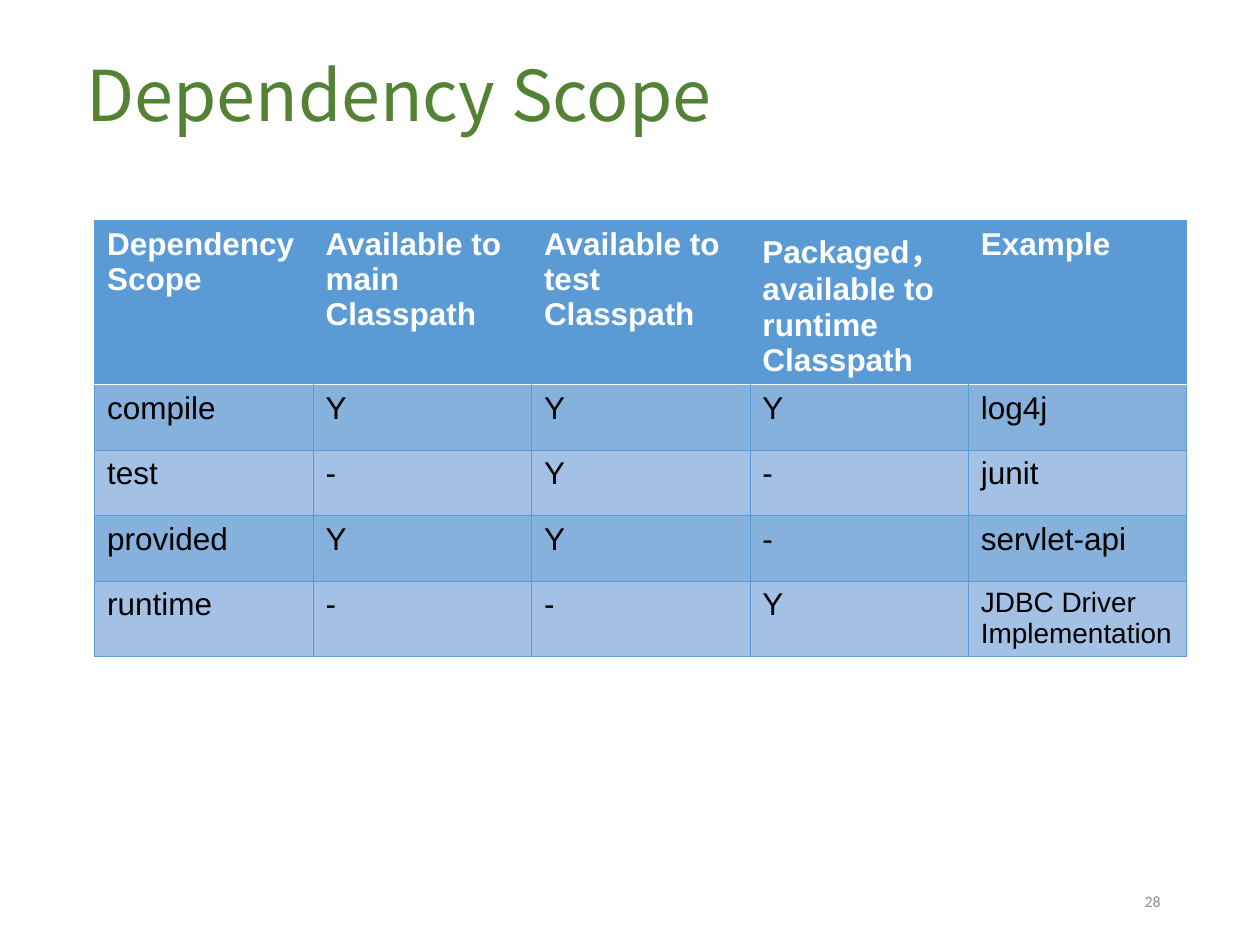
from lxml import etree
from pptx import Presentation
from pptx.dml.color import RGBColor
from pptx.enum import text as t
from pptx.oxml.ns import qn
from pptx.util import Inches, Pt

TITLE = "Dependency Scope"
PAGE = "28"
ROWS = [
    ["Dependency Scope", "Available to main Classpath", "Available to test Classpath",
     "Packaged，available to runtime Classpath", "Example"],
    ["compile", "Y", "Y", "Y", "log4j"],
    ["test", "-", "Y", "-", "junit"],
    ["provided", "Y", "Y", "-", "servlet-api"],
    ["runtime", "-", "-", "Y", "JDBC Driver Implementation"],
]
HEIGHTS = [0.95, 0.52, 0.52, 0.52, 0.6]
WIDTH = 8.67
BLUE, WHITE, BLACK = "5B9BD5", "FFFFFF", "000000"
BANDS = ["A3C0E5", "86B1DD"]


def color(code):
    return RGBColor.from_string(code)


def style(para, name, size, code, bold=False):
    font = para.font
    font.name, font.size, font.bold = name, Pt(size), bold
    font.color.rgb = color(code)


def add_text(slide, box, words, name, size, code, align):
    shape = slide.shapes.add_textbox(*map(Inches, box))
    frame = shape.text_frame
    frame.word_wrap = True
    frame.vertical_anchor = t.MSO_ANCHOR.MIDDLE
    para = frame.paragraphs[0]
    para.text, para.alignment = words, align
    style(para, name, size, code)
    return frame


def border(cell, side, code, width):
    """Draw one side (L, R, T or B) of a cell; no code means no line."""
    line = etree.Element(qn("a:ln" + side), w=str(Pt(width)))
    if code:
        fill = etree.SubElement(line, qn("a:solidFill"))
        etree.SubElement(fill, qn("a:srgbClr"), val=code)
    else:
        etree.SubElement(line, qn("a:noFill"))
    return line


def add_borders(cell, row, col, last):
    sides = {side: (BLUE, 0.5) for side in "LRTB"}
    if row == 0:
        sides["B"] = (WHITE, 1)
        if col > 0:
            sides["L"] = (None, 0)
        if col < last:
            sides["R"] = (None, 0)
    elif row == 1:
        sides["T"] = (WHITE, 1)
    props = cell._tc.get_or_add_tcPr()
    for spot, (side, (code, width)) in enumerate(sides.items()):
        props.insert(spot, border(cell, side, code, width))


def add_grid(slide):
    count = len(ROWS[0])
    table = slide.shapes.add_table(
        len(ROWS), count, Inches(0.75), Inches(1.75),
        Inches(WIDTH), Inches(sum(HEIGHTS))).table
    table.first_row = table.horz_banding = False
    for col in table.columns:
        col.width = Inches(WIDTH / count)
    for r, words in enumerate(ROWS):
        table.rows[r].height = Inches(HEIGHTS[r])
        head = r == 0
        for c, word in enumerate(words):
            cell = table.cell(r, c)
            cell.text = word
            size = 16 if word.startswith("JDBC") else 18
            style(cell.text_frame.paragraphs[0], "Arial", size,
                  WHITE if head else BLACK, head)
            cell.fill.solid()
            cell.fill.fore_color.rgb = color(BLUE if head else BANDS[r % 2])
            add_borders(cell, r, c, count - 1)


def main():
    deck = Presentation()
    deck.slide_width, deck.slide_height = Inches(10), Inches(7.5)
    slide = deck.slides.add_slide(deck.slide_layouts[6])
    add_grid(slide)
    add_text(slide, (7.06, 6.95, 2.25, 0.4), PAGE, "Calibri", 9, "8C8C8C",
             t.PP_ALIGN.RIGHT)
    title = add_text(slide, (0.59, 0.36, 5.28, 0.77), TITLE, "Noto Sans CJK JP", 40,
                     "548235", t.PP_ALIGN.LEFT)
    title.auto_size = t.MSO_AUTO_SIZE.SHAPE_TO_FIT_TEXT
    deck.save("out.pptx")


if __name__ == "__main__":
    main()
